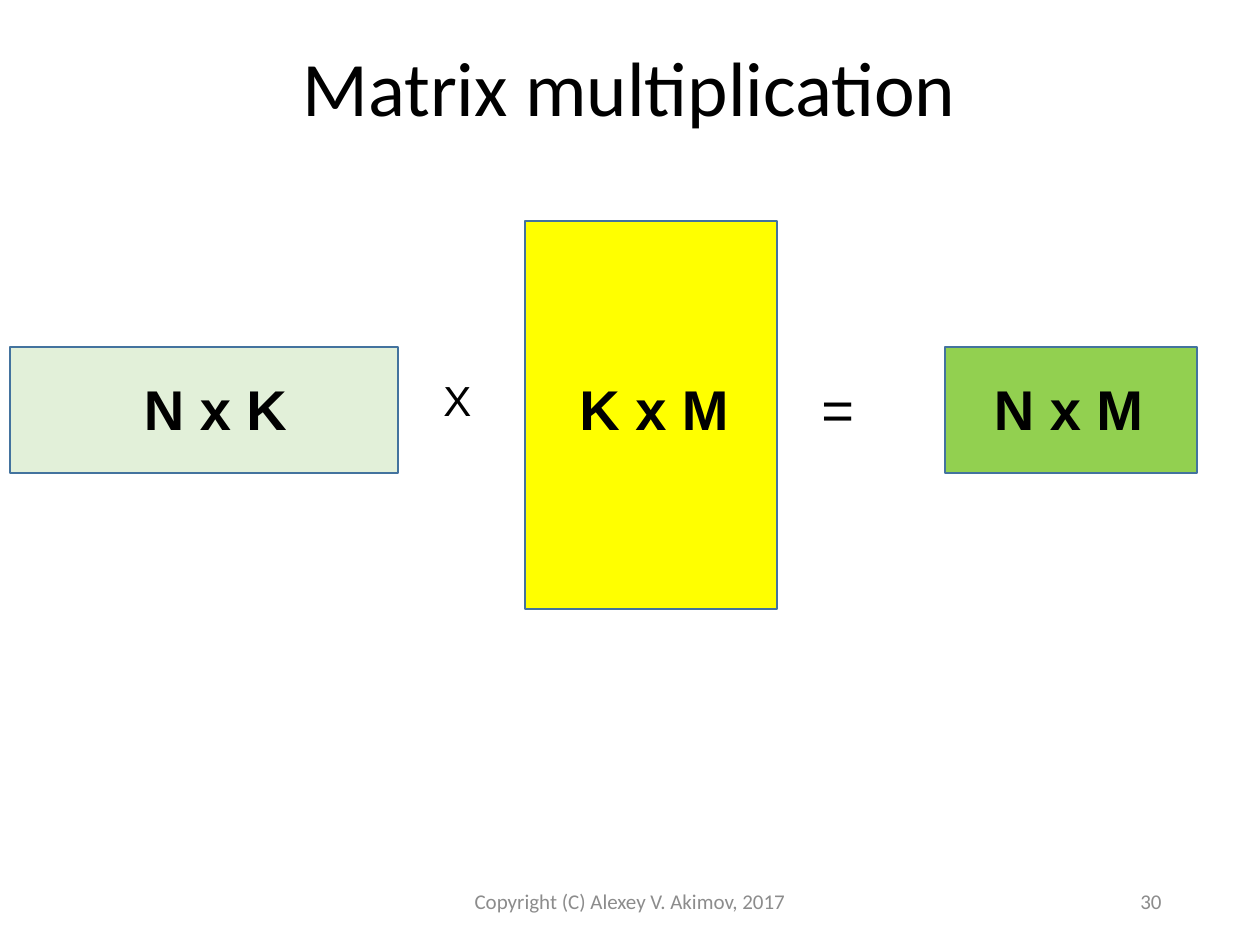
from dataclasses import dataclass

from pptx import Presentation
from pptx import util as u
from pptx.dml.color import RGBColor
from pptx.enum import shapes, text

PX_PER_INCH = 126


@dataclass(frozen=True)
class Theme:
    left_matrix: str = "E2F0D9"
    right_matrix: str = "FFFF00"
    product: str = "92D050"
    outline: str = "43739E"
    ink: str = "000000"
    muted: str = "8C8C8C"
    title_font: str = "Calibri"
    label_font: str = "Arial"
    title_size: int = 44
    label_size: int = 32
    times_size: int = 24
    footer_size: int = 12


THEME = Theme()


def px(value):
    return u.Emu(round(value * 914400 / PX_PER_INCH))


def place(shape, box):
    shape.left, shape.top, shape.width, shape.height = map(px, box)


def write(shape, words, font, size, color, bold=False, align=text.PP_ALIGN.LEFT,
          anchor=text.MSO_ANCHOR.TOP, wrap=False):
    frame = shape.text_frame
    frame.text = words
    frame.word_wrap = wrap
    frame.auto_size = text.MSO_AUTO_SIZE.NONE
    frame.vertical_anchor = anchor
    paragraph = frame.paragraphs[0]
    paragraph.alignment = align
    paragraph.font.name = font
    paragraph.font.size = u.Pt(size)
    paragraph.font.bold = bold
    paragraph.font.color.rgb = RGBColor.from_string(color)


def add_title(slide, words, box):
    title = slide.shapes.title
    place(title, box)
    write(title, words, THEME.title_font, THEME.title_size, THEME.ink,
          align=text.PP_ALIGN.CENTER, anchor=text.MSO_ANCHOR.MIDDLE)


def add_matrix(slide, box, color):
    matrix = slide.shapes.add_shape(shapes.MSO_SHAPE.RECTANGLE, *map(px, box))
    matrix.shadow.inherit = False
    matrix.fill.solid()
    matrix.fill.fore_color.rgb = RGBColor.from_string(color)
    matrix.line.color.rgb = RGBColor.from_string(THEME.outline)
    matrix.line.width = u.Pt(1)


def add_label(slide, words, box, size=THEME.label_size, bold=False):
    label = slide.shapes.add_textbox(*map(px, box))
    write(label, words, THEME.label_font, size, THEME.ink, bold)


def add_footer(slide, words, box, align):
    footer = slide.shapes.add_textbox(*map(px, box))
    write(footer, words, THEME.title_font, THEME.footer_size, THEME.muted,
          align=align, anchor=text.MSO_ANCHOR.MIDDLE, wrap=True)


def main():
    presentation = Presentation()
    presentation.slide_width = px(1260)
    presentation.slide_height = px(945)
    slide = presentation.slides.add_slide(presentation.slide_layouts[5])
    add_title(slide, "Matrix multiplication", (286, 33, 687, 106))

    n, k, m = 126, 388, 252
    add_matrix(slide, (10, 347, k, n), THEME.left_matrix)
    add_matrix(slide, (525, 221, m, k), THEME.right_matrix)
    add_matrix(slide, (945, 347, m, n), THEME.product)

    label_top, label_height = 368, 81
    for words, left, width in ((" N x K", 116, 185), ("K x M", 567, 176),
                               (" N x M", 966, 192)):
        add_label(slide, words, (left, label_top, width, label_height), bold=True)
    add_label(slide, "X", (431, label_top, 54, 64), THEME.times_size)
    add_label(slide, "=", (809, label_top, 59, label_height))

    add_footer(slide, "Copyright (C) Alexey V. Akimov, 2017", (417, 876, 426, 50),
               text.PP_ALIGN.CENTER)
    add_footer(slide, "30", (890, 876, 284, 50), text.PP_ALIGN.RIGHT)
    presentation.save("out.pptx")


if __name__ == "__main__":
    main()
